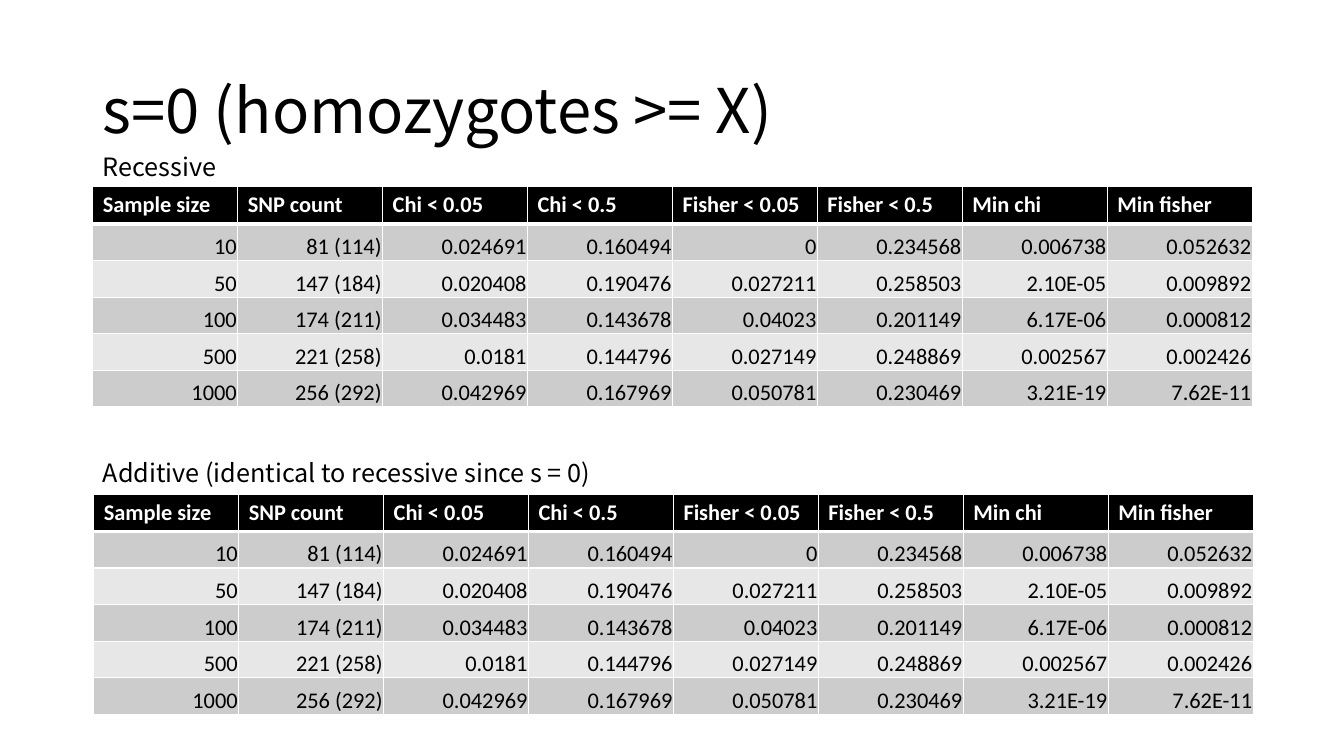
"""Build a slide comparing recessive and additive test results at s=0."""
import pptx
import pptx.dml.color
import pptx.enum.text
import pptx.oxml
import pptx.oxml.ns
import pptx.util
from pptx.util import Inches

COLORS = {"text": "000000", "header": "000000", "header_text": "FFFFFF",
          "odd_row": "CCCCCC", "even_row": "E7E7E7", "border": "FFFFFF"}
TEXT_FONT = "Noto Sans CJK JP"
TABLE_FONT = "Calibri"
LEFT = 0.92
TABLE_WIDTH = 11.5
TABLE_HEIGHT = 2.18
HEADERS = ["Sample size", "SNP count", "Chi < 0.05", "Chi < 0.5",
           "Fisher < 0.05", "Fisher < 0.5", "Min chi", "Min fisher"]
RESULTS = [
    ["10", "81 (114)", "0.024691", "0.160494", "0", "0.234568", "0.006738", "0.052632"],
    ["50", "147 (184)", "0.020408", "0.190476", "0.027211", "0.258503", "2.10E-05", "0.009892"],
    ["100", "174 (211)", "0.034483", "0.143678", "0.04023", "0.201149", "6.17E-06", "0.000812"],
    ["500", "221 (258)", "0.0181", "0.144796", "0.027149", "0.248869", "0.002567", "0.002426"],
    ["1000", "256 (292)", "0.042969", "0.167969", "0.050781", "0.230469", "3.21E-19", "7.62E-11"],
]
HEADER_CELL = {"vertical_anchor": pptx.enum.text.MSO_ANCHOR.TOP}
RESULT_CELL = {"vertical_anchor": pptx.enum.text.MSO_ANCHOR.BOTTOM,
               "margin_left": Inches(0.01), "margin_right": Inches(0.01),
               "margin_top": Inches(0.01), "margin_bottom": 0}


def set_attributes(target, values):
    """Set each named attribute of the target."""
    for name, value in values.items():
        setattr(target, name, value)


def write_text(text_frame, text, color, **font_values):
    """Write one formatted run and return its paragraph."""
    paragraph = text_frame.paragraphs[0]
    run = paragraph.add_run()
    run.text = text
    set_attributes(run.font, font_values)
    run.font.color.rgb = pptx.dml.color.RGBColor.from_string(COLORS[color])
    return paragraph


def add_title(slide, text):
    """Place and format the title placeholder."""
    title = slide.shapes.title
    set_attributes(title, {"left": Inches(LEFT), "top": Inches(0.4),
                           "width": Inches(TABLE_WIDTH), "height": Inches(1.45)})
    set_attributes(title.text_frame, {
        "auto_size": pptx.enum.text.MSO_AUTO_SIZE.NONE, "word_wrap": True,
        "vertical_anchor": pptx.enum.text.MSO_ANCHOR.MIDDLE})
    paragraph = write_text(title.text_frame, text, "text",
                           name=TEXT_FONT, size=pptx.util.Pt(44))
    set_attributes(paragraph, {"alignment": pptx.enum.text.PP_ALIGN.LEFT,
                               "line_spacing": 0.9})


def add_label(slide, text, top, width):
    """Add the caption above a table."""
    label = slide.shapes.add_textbox(Inches(LEFT), Inches(top), Inches(width), Inches(0.4))
    set_attributes(label.text_frame, {
        "word_wrap": False, "auto_size": pptx.enum.text.MSO_AUTO_SIZE.SHAPE_TO_FIT_TEXT})
    write_text(label.text_frame, text, "text", name=TEXT_FONT, size=pptx.util.Pt(18))


def set_borders(cell, widths):
    """Draw the cell borders with point widths keyed by side."""
    properties = cell._tc.get_or_add_tcPr()
    for side, width in widths.items():
        properties.append(pptx.oxml.parse_xml(
            f'<a:ln{side} {pptx.oxml.ns.nsdecls("a")} w="{pptx.util.Pt(width)}">'
            f'<a:solidFill><a:srgbClr val="{COLORS["border"]}"/></a:solidFill>'
            f'</a:ln{side}>'))


def format_cell(cell, text, row):
    """Fill in a header or result cell according to its row."""
    is_header = row == 0
    fill = "header" if is_header else "odd_row" if row % 2 else "even_row"
    set_attributes(cell, HEADER_CELL if is_header else RESULT_CELL)
    set_borders(cell, {"L": 1, "R": 1, "T": 3 if row == 1 else 1, "B": 3 if is_header else 1})
    cell.fill.solid()
    cell.fill.fore_color.rgb = pptx.dml.color.RGBColor.from_string(COLORS[fill])
    paragraph = write_text(cell.text_frame, text, "header_text" if is_header else "text",
                           name=TABLE_FONT, size=pptx.util.Pt(16), bold=is_header)
    alignments = pptx.enum.text.PP_ALIGN
    paragraph.alignment = alignments.LEFT if is_header else alignments.RIGHT


def add_results_table(slide, left, top):
    """Add a table of test results with equal rows and columns."""
    rows = [HEADERS] + RESULTS
    table = slide.shapes.add_table(len(rows), len(HEADERS), Inches(left), Inches(top),
                                   Inches(TABLE_WIDTH), Inches(TABLE_HEIGHT)).table
    for row, values in enumerate(rows):
        for column, text in enumerate(values):
            format_cell(table.cell(row, column), text, row)


def main():
    """Build and save the presentation."""
    presentation = pptx.Presentation()
    set_attributes(presentation, {"slide_width": Inches(13.33), "slide_height": Inches(7.5)})
    slide = presentation.slides.add_slide(presentation.slide_layouts[5])
    add_title(slide, "s=0 (homozygotes >= X)")
    add_results_table(slide, LEFT, 1.85)
    add_results_table(slide, 0.93, 4.9)
    add_label(slide, "Recessive", 1.45, 1.37)
    add_label(slide, "Additive (identical to recessive since s = 0)", 4.49, 5.21)
    presentation.save("out.pptx")


main()
